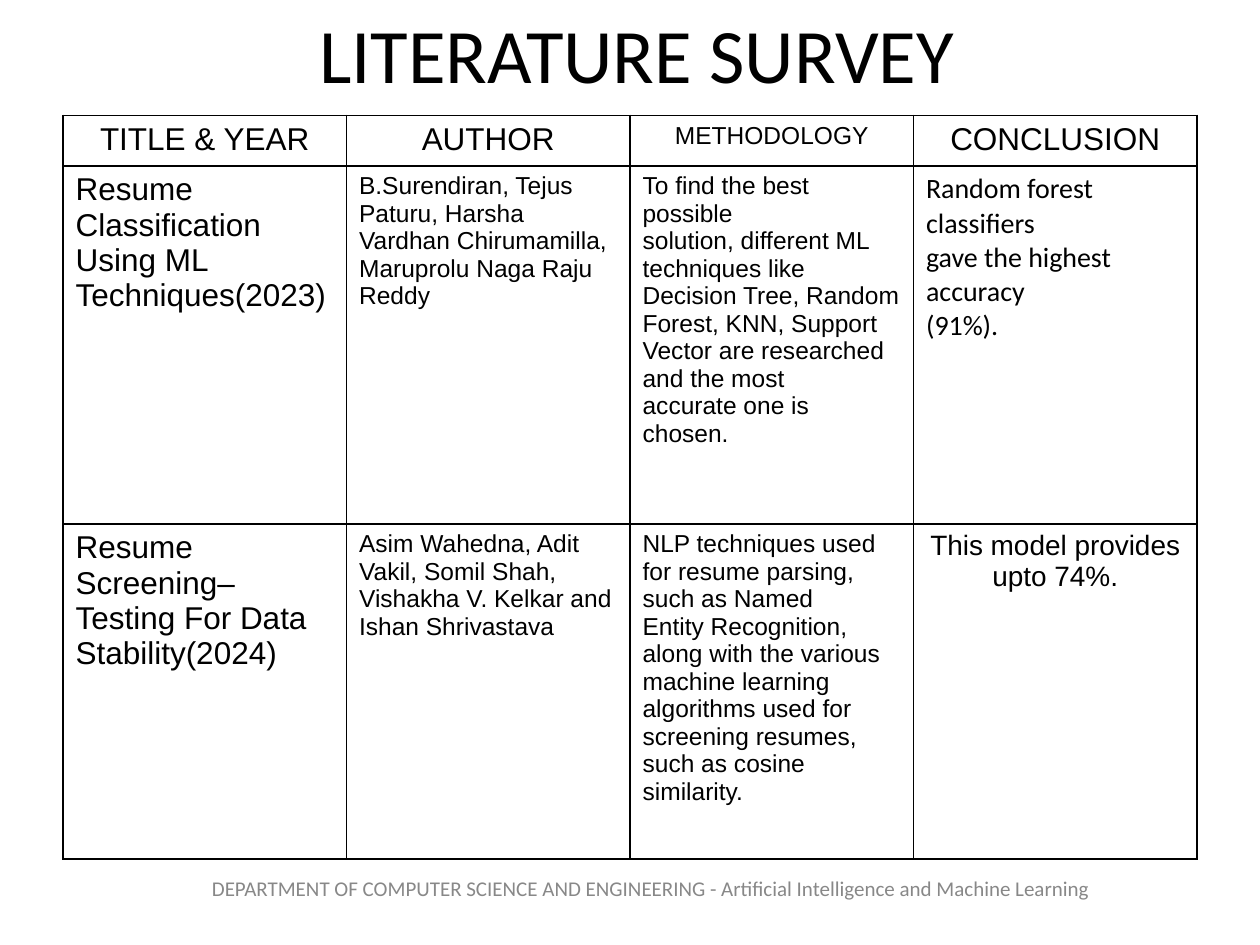
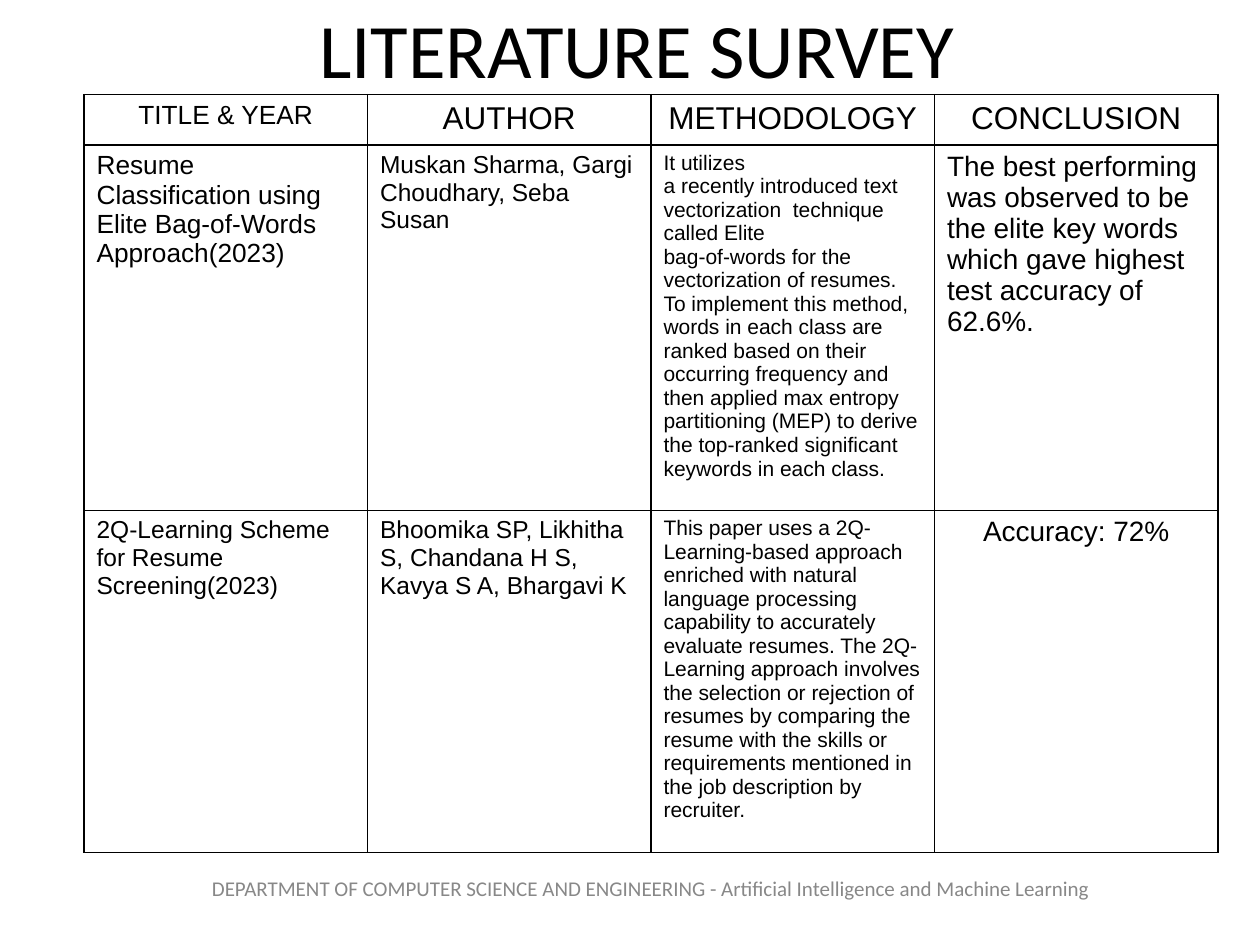
from dataclasses import dataclass

from lxml.etree import SubElement
from pptx import Presentation
from pptx.dml.color import RGBColor
from pptx.enum.text import MSO_ANCHOR, PP_ALIGN
from pptx.oxml.ns import qn
from pptx.util import Pt


@dataclass(frozen=True)
class Theme:
    ink: str = "000000"
    muted: str = "888888"
    heading_font: str = "Calibri"
    body_font: str = "Arial"
    title: int = 44
    head: int = 18
    conclusion: int = 16
    medium: int = 15
    body: int = 14
    small: int = 12
    border: int = 1


THEME = Theme()
HEADINGS = ["TITLE & YEAR", "AUTHOR", "METHODOLOGY", "CONCLUSION"]
FOOTER = ("DEPARTMENT OF COMPUTER SCIENCE AND ENGINEERING - "
          "Artificial Intelligence and Machine Learning")
COLUMN_WIDTH = 162


@dataclass(frozen=True)
class Entry:
    """Wording and style of one table cell; each line is a paragraph."""
    text: str
    size: int = THEME.body
    align: PP_ALIGN = PP_ALIGN.LEFT
    font: str = THEME.body_font


class SurveyDeck:
    def __init__(self, theme):
        self.theme = theme
        self.deck = Presentation()
        self.deck.slide_width, self.deck.slide_height = Pt(720), Pt(540)
        self.slide = None

    def fill_text(self, frame, text, size, font, color, align):
        frame.text = text
        for paragraph in frame.paragraphs:
            paragraph.alignment = align
            paragraph.font.size = Pt(size)
            paragraph.font.name = font
            paragraph.font.bold = False
            paragraph.font.color.rgb = RGBColor.from_string(color)

    def label(self, text, left, top, width, height, size, color, anchor):
        frame = self.slide.shapes.add_textbox(
            Pt(left), Pt(top), Pt(width), Pt(height)).text_frame
        frame.word_wrap = True
        frame.vertical_anchor = anchor
        frame.margin_top = frame.margin_bottom = 0
        self.fill_text(frame, text, size, self.theme.heading_font, color,
                       PP_ALIGN.CENTER)

    def survey_slide(self, title_top):
        self.slide = self.deck.slides.add_slide(self.deck.slide_layouts[6])
        self.label(FOOTER, 96, 500.2, 552, 28.8,
                   self.theme.small, self.theme.muted, MSO_ANCHOR.TOP)
        self.label("LITERATURE SURVEY", 80, title_top, 568, 90,
                   self.theme.title, self.theme.ink, MSO_ANCHOR.MIDDLE)

    def outline(self, cell):
        properties = cell._tc.get_or_add_tcPr()
        for position, side in enumerate(("lnL", "lnR", "lnT", "lnB")):
            line = SubElement(properties, qn(f"a:{side}"),
                              w=str(Pt(self.theme.border)))
            fill = SubElement(line, qn("a:solidFill"))
            SubElement(fill, qn("a:srgbClr"), val=self.theme.ink)
            properties.insert(position, line)

    def survey_table(self, left, top, row_heights, entries):
        table = self.slide.shapes.add_table(
            len(entries), len(HEADINGS), Pt(left), Pt(top),
            Pt(COLUMN_WIDTH * len(HEADINGS)), Pt(sum(row_heights))).table
        table.first_row = table.horz_banding = False
        for column in table.columns:
            column.width = Pt(COLUMN_WIDTH)
        for row, height, row_entries in zip(table.rows, row_heights, entries):
            row.height = Pt(height)
            for cell, entry in zip(row.cells, row_entries):
                cell.fill.background()
                self.outline(cell)
                self.fill_text(cell.text_frame, entry.text, entry.size,
                               entry.font, self.theme.ink, entry.align)


def heading_row(*sizes):
    return [Entry(text, size, PP_ALIGN.CENTER)
            for text, size in zip(HEADINGS, sizes)]


def main():
    survey = SurveyDeck(THEME)

    # Classification techniques and data stability
    survey.survey_slide(title_top=-15)
    survey.survey_table(36, 66, (27.4, 204.6, 191.4), [
        heading_row(THEME.head, THEME.head, THEME.body, THEME.head),
        [
            Entry("Resume Classification Using ML Techniques(2023)",
                  THEME.head),
            Entry("B.Surendiran, Tejus Paturu, Harsha Vardhan Chirumamilla, "
                  "Maruprolu Naga Raju Reddy"),
            Entry("To find the best possible\n"
                  "solution, different ML techniques like Decision Tree, "
                  "Random\n"
                  "Forest, KNN, Support Vector are researched and the most\n"
                  "accurate one is chosen."),
            Entry("Random forest classifiers\ngave the highest accuracy\n"
                  "(91%).", THEME.conclusion, font=THEME.heading_font),
        ],
        [
            Entry("Resume Screening–Testing For Data Stability(2024)",
                  THEME.head),
            Entry("Asim Wahedna, Adit Vakil, Somil Shah, Vishakha V. Kelkar "
                  "and Ishan Shrivastava"),
            Entry("NLP techniques used for resume parsing, such as Named\n"
                  "Entity Recognition, along with the various machine "
                  "learning\n"
                  "algorithms used for screening resumes, such as cosine\n"
                  "similarity."),
            Entry("This model provides upto 74%.", THEME.conclusion,
                  PP_ALIGN.CENTER),
        ],
    ])

    # Elite keywords and 2Q-Learning
    survey.survey_slide(title_top=-18)
    survey.survey_table(48, 54, (27.4, 195.4, 195.4), [
        heading_row(THEME.medium, THEME.head, THEME.head, THEME.head),
        [
            Entry("Resume Classification using Elite Bag-of-Words "
                  "Approach(2023)", THEME.medium),
            Entry("Muskan Sharma, Gargi Choudhary, Seba Susan"),
            Entry("It utilizes\n"
                  "a recently introduced text vectorization  technique called "
                  "Elite\n"
                  "bag-of-words for the vectorization of resumes. To implement "
                  "this method, words in each class are ranked based on their "
                  "occurring frequency and then applied max entropy "
                  "partitioning (MEP) to derive the top-ranked significant\n"
                  "keywords in each class.", THEME.small),
            Entry("The best performing was observed to be the elite key words "
                  "which gave highest test accuracy of 62.6%.",
                  THEME.conclusion),
        ],
        [
            Entry("2Q-Learning Scheme for Resume Screening(2023)"),
            Entry("Bhoomika SP, Likhitha S, Chandana H S, Kavya S A, "
                  "Bhargavi K"),
            Entry("This paper uses a 2Q-Learning-based approach enriched with "
                  "natural language processing capability to accurately "
                  "evaluate resumes. The 2Q-Learning approach involves the "
                  "selection or rejection of resumes by comparing the resume "
                  "with the skills or requirements mentioned in the job "
                  "description by recruiter.", THEME.small),
            Entry("Accuracy: 72%", THEME.conclusion, PP_ALIGN.CENTER),
        ],
    ])

    survey.deck.save("out.pptx")


if __name__ == "__main__":
    main()
